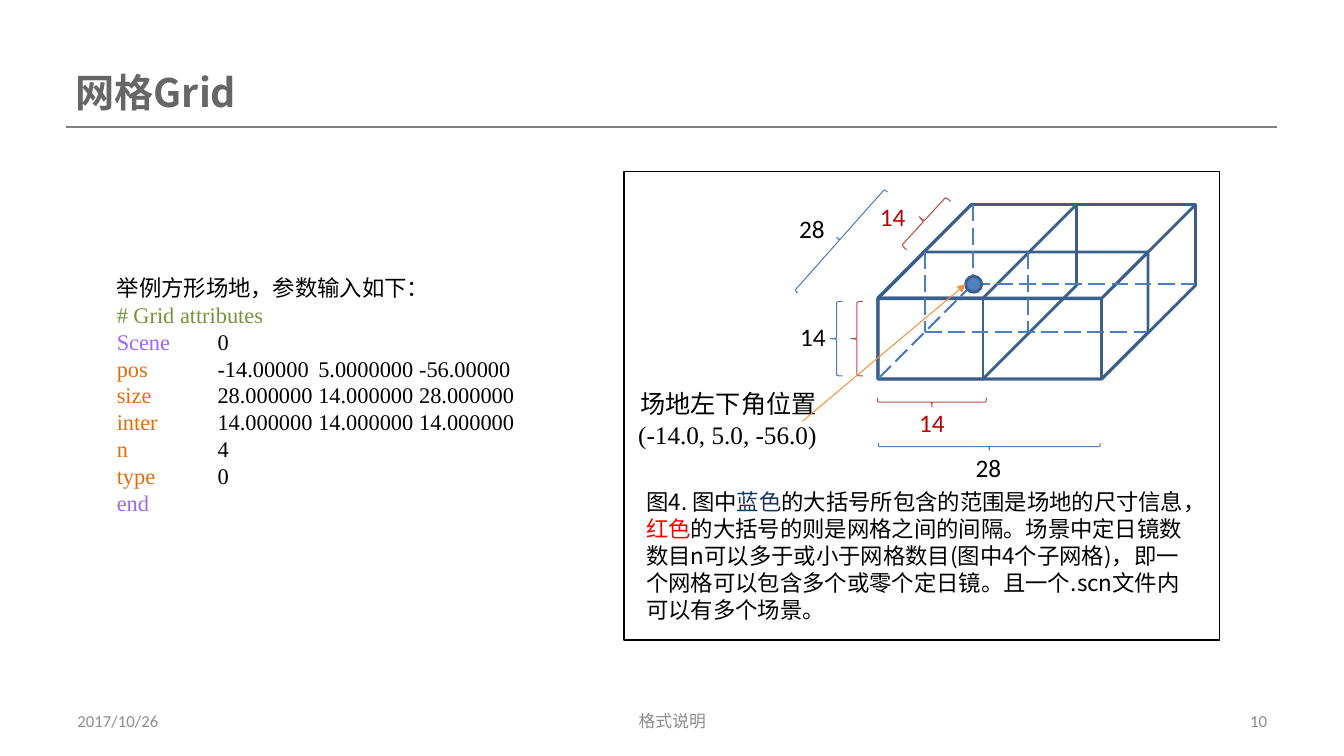
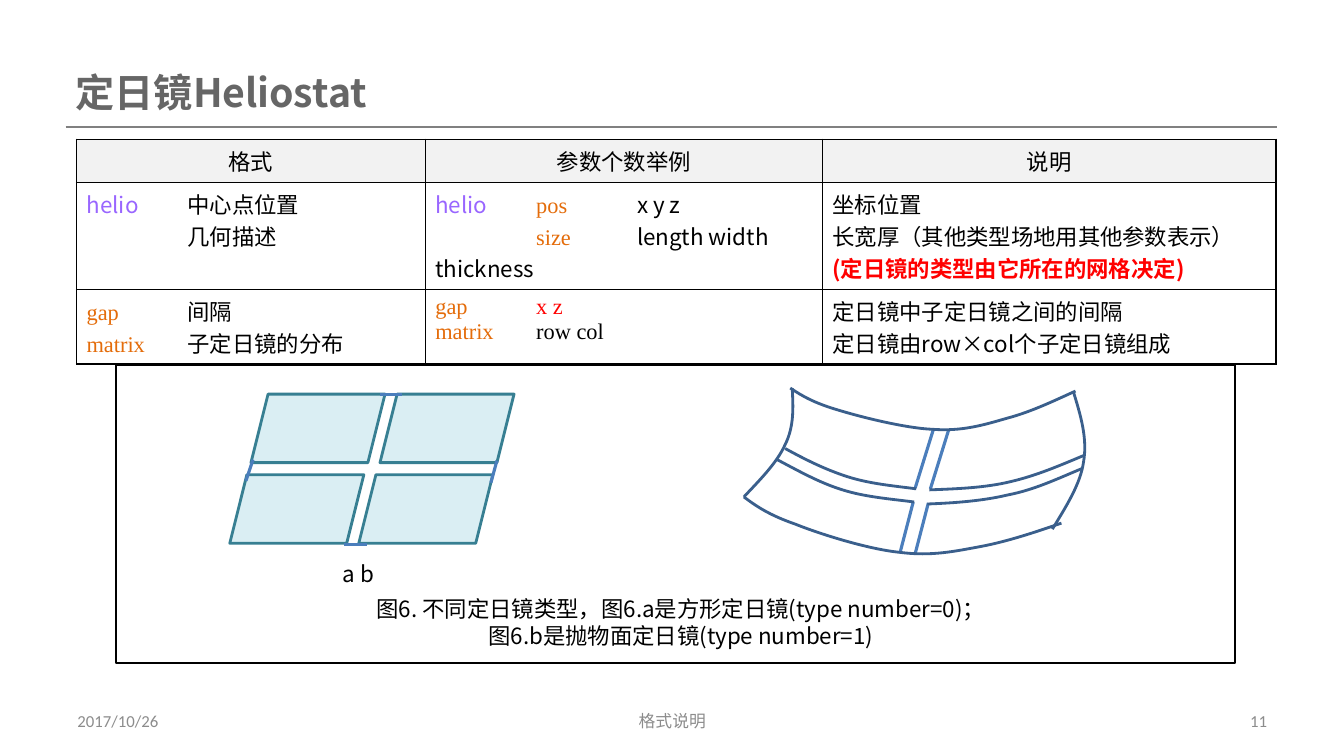
"""Build two slides on the grid and heliostat sections of a scene file format."""
from lxml import etree
from pptx import Presentation
from pptx.dml.color import RGBColor
from pptx.enum.dml import MSO_LINE
from pptx.enum.shapes import MSO_CONNECTOR, MSO_SHAPE
from pptx.enum.text import MSO_ANCHOR, MSO_AUTO_SIZE, PP_ALIGN
from pptx.oxml.ns import qn
from pptx.util import Pt

PX = 9144
TAB_STOPS = (100, 200, 300, 400)
STRAIGHT = MSO_CONNECTOR.STRAIGHT
LONG_DASH = MSO_LINE.LONG_DASH
CUBE, OVAL, RECT = MSO_SHAPE.CUBE, MSO_SHAPE.OVAL, MSO_SHAPE.RECTANGLE
ROUNDED, PARALLELOGRAM = MSO_SHAPE.ROUNDED_RECTANGLE, MSO_SHAPE.PARALLELOGRAM
LEFT_BRACE, RIGHT_BRACE = MSO_SHAPE.LEFT_BRACE, MSO_SHAPE.RIGHT_BRACE
LEFT, CENTER, RIGHT = PP_ALIGN.LEFT, PP_ALIGN.CENTER, PP_ALIGN.RIGHT
JUSTIFY = PP_ALIGN.JUSTIFY
TOP, MIDDLE = MSO_ANCHOR.TOP, MSO_ANCHOR.MIDDLE

SANS, SERIF, NUMERIC = "Noto Sans CJK SC", "Times New Roman", "Calibri"
BLACK = RGBColor(0x00, 0x00, 0x00)
TITLE_GREY = RGBColor(0x66, 0x66, 0x66)
RULE_GREY = RGBColor(0x80, 0x80, 0x80)
FOOTER_GREY = RGBColor(0x8C, 0x8C, 0x8C)
HEADER_FILL = RGBColor(0xF2, 0xF2, 0xF2)
PURPLE = RGBColor(0x99, 0x66, 0xFF)
ORANGE = RGBColor(0xE4, 0x6C, 0x0A)
GREEN = RGBColor(0x77, 0x93, 0x3C)
NAVY = RGBColor(0x17, 0x37, 0x5E)
RED = RGBColor(0xFF, 0x00, 0x00)
DARK_RED = RGBColor(0xC0, 0x00, 0x00)
EDGE = RGBColor(0x3A, 0x5F, 0x8C)
BLUE = RGBColor(0x4B, 0x7E, 0xBC)
DOT_BLUE = RGBColor(0x4F, 0x81, 0xBD)
BRACE_RED = RGBColor(0xBF, 0x4C, 0x48)
ARROW = RGBColor(0xF6, 0x92, 0x40)
TEAL = RGBColor(0x37, 0x7F, 0x92)
PALE_TEAL = RGBColor(0xB7, 0xDE, 0xE8)

FOOTERS = [((67, 695, 311, 40), "2017/10/26", LEFT),
           ((456, 695, 422, 40), "格式说明", CENTER),
           ((956, 695, 311, 40), None, RIGHT)]

GRID_CODE = [
    ["举例方形场地，参数输入如下："],
    [("# Grid attributes", GREEN)],
    [("Scene", PURPLE), "\t0"],
    [("pos", ORANGE), "\t-14.00000\t5.0000000\t-56.00000"],
    [("size", ORANGE), "\t28.000000\t14.000000\t28.000000"],
    [("inter", ORANGE), "\t14.000000\t14.000000\t14.000000"],
    [("n", ORANGE), "\t4"],
    [("type", ORANGE), "\t0"],
    [("end", PURPLE)],
]
CORNER_LABEL = [["场地左下角位置"], [("(-14.0, 5.0, -56.0)", BLACK, SERIF)]]
GRID_CAPTION = [[
    "图4. 图中", ("蓝色", NAVY), "的大括号所包含的范围是场地的尺寸信息，", ("红色", RED),
    "的大括号的则是网格之间的间隔。场景中定日镜数数目n可以多于或小于网格数目(图中4个子网格)，"
    "即一个网格可以包含多个或零个定日镜。且一个.scn文件内可以有多个场景。"]]
CUBES = [((871, 203, 315, 173), 0.536),
         ((871, 203, 197, 173), 0.536),
         ((871, 250, 268, 126), 0.368)]
HIDDEN_EDGES = [(965, 203, 965, 282), (965, 282, 1186, 282), (965, 282, 871, 376),
                (1020, 250, 1020, 329), (918, 329, 1138, 329), (918, 250, 918, 329)]
BRACES = [
    (LEFT_BRACE, (844, 299, 12, 74), 0, BRACE_RED),
    (LEFT_BRACE, (824, 299, 12, 74), 0, BLUE),
    (LEFT_BRACE, (920, 345, 9, 108), 270, BRACE_RED),
    (LEFT_BRACE, (978, 333, 7, 220), 270, BLUE),
    (LEFT_BRACE, (910, 187, 13, 65), 42.5, BRACE_RED),
    (RIGHT_BRACE, (829, 171, 8, 134), 221.6, BLUE),
]
DIMENSIONS = [("14", 784, 314, BLACK), ("28", 958, 444, BLACK), ("28", 783, 207, BLACK),
              ("14", 902, 399, DARK_RED), ("14", 863, 195, DARK_RED)]

COLUMN_WIDTHS = [346, 394, 450]
ROW_HEIGHTS = [43, 106, 73]
TABLE_ROWS = [
    [[["格式"]], [["参数个数举例"]], [["说明"]]],
    [
        [[("helio", PURPLE), "\t中心点位置"], ["\t几何描述"]],
        [[("helio\t", PURPLE), ("pos\t", ORANGE, SERIF), "x y z"],
         ["\t", ("size", ORANGE, SERIF), "\tlength width \t\tthickness"]],
        [["坐标位置"], ["长宽厚（其他类型场地用其他参数表示）"],
         [("(定日镜的类型由它所在的网格决定)", RED, SANS, True)]],
    ],
    [
        [[("gap\t", ORANGE, SERIF), "间隔"], [("matrix\t", ORANGE, SERIF), "子定日镜的分布"]],
        [[("gap\t", ORANGE, SERIF), ("x z", RED, SERIF)],
         [("matrix\t", ORANGE, SERIF), ("row col", BLACK, SERIF)]],
        [["定日镜中子定日镜之间的间隔"], ["定日镜由row×col个子定日镜组成"]],
    ],
]
MIRROR_CAPTION = [["图6. 不同定日镜类型，图6.a是方形定日镜(type number=0)；"],
                  ["图6.b是抛物面定日镜(type number=1)"]]
FLAT_GAP_MARKS = [(377, 391, 399, 391), (341, 540, 364, 540),
                  (244, 477, 251, 456), (487, 479, 493, 457)]
CURVED_GAP_LINES = [(926, 426, 908, 484), (941, 427, 923, 485),
                    (906, 498, 893, 548), (921, 499, 908, 549)]
CURVES = [
    [(738, 493), (750, 502), (763, 511), (789, 520), (814, 530), (862, 545), (893, 548),
     (924, 552), (947, 547), (974, 542), (1000, 537), (1027, 528), (1053, 519)],
    [(784, 385), (796, 393), (808, 400), (832, 407), (855, 414), (899, 425), (926, 426),
     (954, 428), (975, 422), (999, 415), (1022, 409), (1045, 398), (1067, 388)],
    [(786, 385), (787, 404), (788, 423), (779, 441), (771, 459), (754, 476), (738, 493)],
    [(1065, 389), (1072, 412), (1079, 435), (1075, 458), (1072, 480), (1058, 502), (1044, 525)],
    [(922, 486), (949, 485), (977, 484), (1002, 478), (1028, 472), (1051, 462), (1075, 452)],
    [(920, 500), (947, 499), (975, 497), (1000, 491), (1026, 486), (1049, 475), (1073, 465)],
    [(771, 456), (792, 467), (813, 479), (836, 486), (858, 493), (883, 495), (907, 498)],
    [(779, 445), (799, 456), (819, 466), (841, 473), (863, 480), (886, 482), (909, 485)],
]


def emu(lengths):
    return [round(length * PX) for length in lengths]


def add_tab_stops(paragraph):
    stops = etree.SubElement(paragraph._p.get_or_add_pPr(), qn("a:tabLst"))
    for position in emu(TAB_STOPS):
        etree.SubElement(stops, qn("a:tab"), pos=str(position), algn="l")


def write(frame, paragraphs, *, size=16, font=SANS, color=BLACK, bold=False,
          align=LEFT, anchor=TOP, pitch=None):
    frame.word_wrap = True
    frame.auto_size = MSO_AUTO_SIZE.NONE
    frame.vertical_anchor = anchor
    for index, runs in enumerate(paragraphs):
        paragraph = frame.add_paragraph() if index else frame.paragraphs[0]
        paragraph.alignment = align
        if pitch:
            paragraph.line_spacing = Pt(pitch)
        for part in runs:
            given = (part,) if isinstance(part, str) else part
            text, ink, face, strong = given + (None, color, font, bold)[len(given):]
            run = paragraph.add_run()
            run.text = text
            run.font.size = Pt(size)
            run.font.bold = strong
            run.font.color.rgb = ink
            run.font.name = face
            east_asian = SANS if face == SERIF else face
            etree.SubElement(run._r.get_or_add_rPr(), qn("a:ea"), typeface=east_asian)
        if "\t" in paragraph.text:
            add_tab_stops(paragraph)


def add_label(slide, box, paragraphs, **style):
    write(slide.shapes.add_textbox(*emu(box)).text_frame, paragraphs, **style)


def paint(shape, fill=None, line=None, width=1):
    shape.shadow.inherit = False
    if fill is None:
        shape.fill.background()
    else:
        shape.fill.solid()
        shape.fill.fore_color.rgb = fill
    if line is None:
        shape.line.fill.background()
    else:
        shape.line.color.rgb = line
        shape.line.width = Pt(width)


def add_shape(slide, kind, box, *, adjust=None, rotation=0, **style):
    shape = slide.shapes.add_shape(kind, *emu(box))
    if adjust is not None:
        shape.adjustments[0] = adjust
    shape.rotation = rotation
    paint(shape, **style)
    return shape


def add_line(slide, ends, color, width, *, dash=None, arrow=False):
    line = slide.shapes.add_connector(STRAIGHT, *emu(ends))
    line.line.color.rgb = color
    line.line.width = Pt(width)
    if dash:
        line.line.dash_style = dash
    if arrow:
        etree.SubElement(line.line._get_or_add_ln(), qn("a:tailEnd"), type="triangle")
    etree.SubElement(line._element.spPr, qn("a:effectLst"))


def add_curve(slide, points):
    builder = slide.shapes.build_freeform(*points[0], scale=PX)
    builder.add_line_segments(points[1:], close=False)
    curve = builder.convert_to_shape()
    paint(curve, line=EDGE, width=2)
    segments = list(curve._element.iter(qn("a:lnTo")))
    outline = segments[0].getparent()
    for start in range(0, len(segments), 3):
        bezier = etree.SubElement(outline, qn("a:cubicBezTo"))
        for segment in segments[start:start + 3]:
            bezier.append(segment[0])
            outline.remove(segment)


def add_slide(deck, title, number):
    slide = deck.slides.add_slide(deck.slide_layouts[5])
    heading = slide.shapes.title
    heading.left, heading.top, heading.width, heading.height = emu((65, 63, 402, 63))
    write(heading.text_frame, [[title]], size=28, color=TITLE_GREY, bold=True)
    add_line(slide, (65, 126, 1267, 126), RULE_GREY, 1.5)
    for box, text, align in FOOTERS:
        add_label(slide, box, [[text or str(number)]], size=12, font=NUMERIC,
                  color=FOOTER_GREY, align=align, anchor=MIDDLE)
    return slide


def add_borders(cell):
    properties = cell._tc.get_or_add_tcPr()
    for index, side in enumerate(("lnL", "lnR", "lnT", "lnB")):
        border = etree.Element(qn(f"a:{side}"), w=str(Pt(1)))
        fill = etree.SubElement(border, qn("a:solidFill"))
        etree.SubElement(fill, qn("a:srgbClr"), val=str(BLACK))
        properties.insert(index, border)


def add_format_table(slide):
    box = (76, 138, sum(COLUMN_WIDTHS), sum(ROW_HEIGHTS))
    table = slide.shapes.add_table(len(ROW_HEIGHTS), len(COLUMN_WIDTHS), *emu(box)).table
    table.first_row = table.horz_banding = False
    for column, width in zip(table.columns, emu(COLUMN_WIDTHS)):
        column.width = width
    for row, height in zip(table.rows, emu(ROW_HEIGHTS)):
        row.height = height
    for r, contents in enumerate(TABLE_ROWS):
        for c, paragraphs in enumerate(contents):
            cell = table.cell(r, c)
            write(cell.text_frame, paragraphs, align=LEFT if r else CENTER)
            if r:
                cell.fill.background()
            else:
                cell.fill.solid()
                cell.fill.fore_color.rgb = HEADER_FILL
            add_borders(cell)


def build_grid(deck):
    slide = add_slide(deck, "网格Grid", 10)
    add_shape(slide, RECT, (619, 170, 591, 465), line=BLACK)
    add_label(slide, (106, 267, 511, 252), GRID_CODE, font=SERIF, pitch=19.2)
    add_label(slide, (612, 380, 208, 71), CORNER_LABEL, size=18, align=RIGHT, pitch=22)
    for box, depth in CUBES:
        add_shape(slide, CUBE, box, adjust=depth, line=EDGE, width=2)
    for ends in HIDDEN_EDGES:
        add_line(slide, ends, BLUE, 1.5, dash=LONG_DASH)
    add_shape(slide, OVAL, (958, 274, 16, 16), fill=DOT_BLUE, line=EDGE, width=2)
    for kind, box, rotation, color in BRACES:
        add_shape(slide, kind, box, rotation=rotation, line=color, width=0.75)
    for text, left, top, color in DIMENSIONS:
        add_label(slide, (left, top, 53, 40), [[text]], size=18, font=NUMERIC, color=color)
    add_line(slide, (796, 418, 958, 282), ARROW, 0.75, arrow=True)
    caption = add_shape(slide, ROUNDED, (628, 479, 567, 144), adjust=0.081)
    write(caption.text_frame, GRID_CAPTION, anchor=MIDDLE, pitch=19.2)


def build_heliostat(deck):
    slide = add_slide(deck, "定日镜Heliostat", 11)
    add_format_table(slide)
    add_shape(slide, RECT, (115, 362, 1110, 296), line=BLACK, width=1.5)
    for row in range(2):
        for column in range(2):
            box = (249 + 128 * column - 21 * row, 391 + 80 * row, 133, 68)
            mirror = add_shape(slide, PARALLELOGRAM, box, fill=PALE_TEAL, line=TEAL, width=2)
            tint = mirror._element.spPr.find(qn("a:solidFill"))[0]
            etree.SubElement(tint, qn("a:alpha"), val="50000")
    for ends in FLAT_GAP_MARKS + CURVED_GAP_LINES:
        add_line(slide, ends, BLUE, 2.25)
    for points in CURVES:
        add_curve(slide, points)
    add_label(slide, (330, 551, 604, 37), [["a b"]], align=JUSTIFY, pitch=19.2)
    add_label(slide, (266, 586, 819, 64), MIRROR_CAPTION, align=CENTER, pitch=19.2)


def main():
    deck = Presentation()
    deck.slide_width, deck.slide_height = emu((1333.33, 750))
    build_grid(deck)
    build_heliostat(deck)
    deck.save("out.pptx")


if __name__ == "__main__":
    main()
